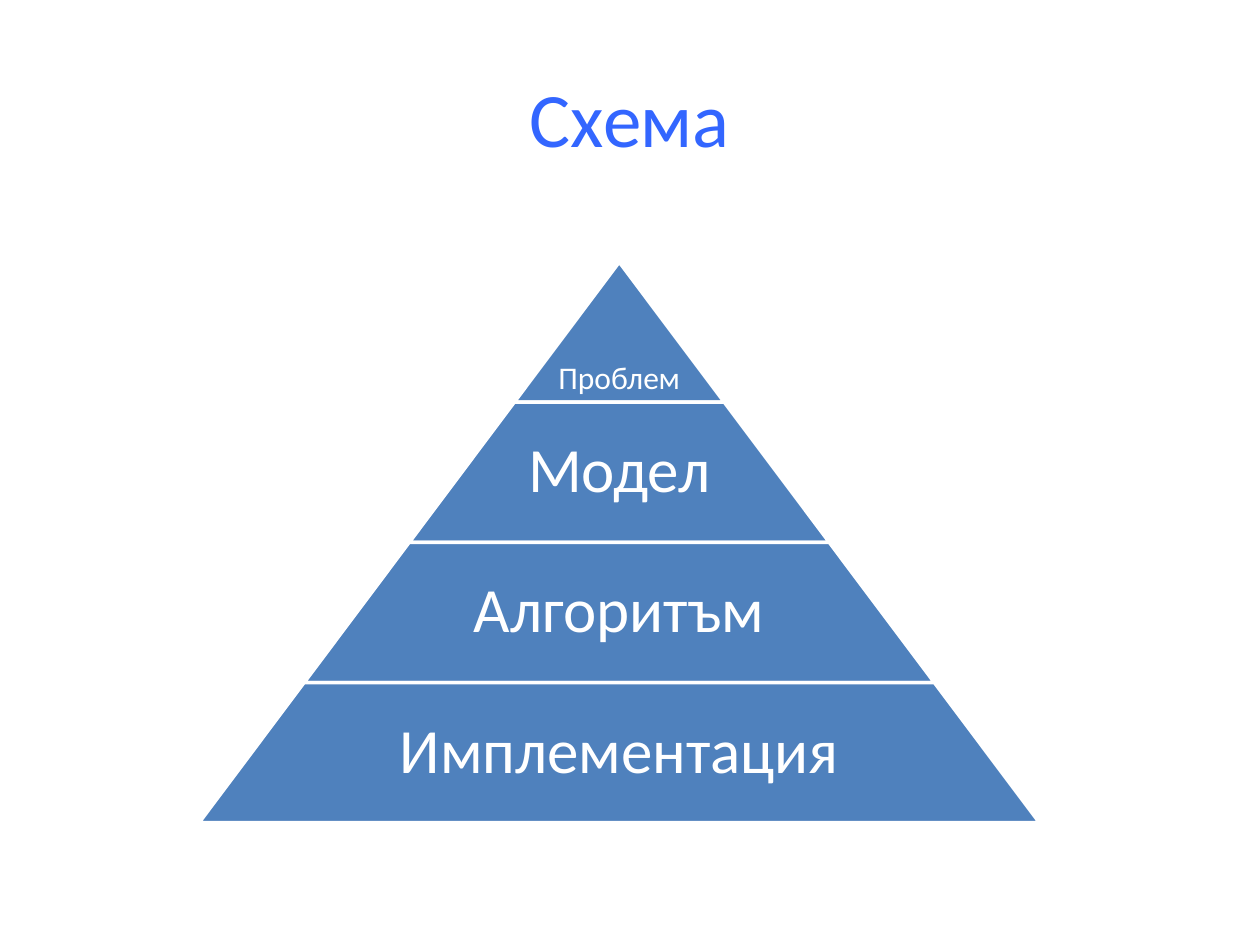
from pptx import Presentation
from pptx.dml.color import RGBColor
from pptx.enum.shapes import MSO_SHAPE
from pptx.enum.text import MSO_ANCHOR, PP_ALIGN
from pptx.util import Inches, Pt

TRAPEZOID = MSO_SHAPE.TRAPEZOID
MIDDLE, BOTTOM = MSO_ANCHOR.MIDDLE, MSO_ANCHOR.BOTTOM
CENTER = PP_ALIGN.CENTER
FONT = "Calibri"
COLORS = {"title": "3366FF", "level": "4F81BD", "white": "FFFFFF"}
LEVELS = ["Проблем", "Модел", "Алгоритъм", "Имплементация"]


def color(name):
    return RGBColor.from_string(COLORS[name])


def add_text(slide, text, box, size=36, ink="white", anchor=MIDDLE,
             inset=0.05, spacing=0.9):
    frame = slide.shapes.add_textbox(*map(Inches, box)).text_frame
    frame.word_wrap = True
    frame.vertical_anchor = anchor
    frame.margin_left = frame.margin_right = Inches(inset)
    frame.margin_top = frame.margin_bottom = Inches(inset)
    para = frame.paragraphs[0]
    para.alignment = CENTER
    para.line_spacing = spacing
    run = para.add_run()
    run.text = text
    run.font.name = FONT
    run.font.size = Pt(size)
    run.font.color.rgb = color(ink)


def add_level(slide, box, slope):
    shape = slide.shapes.add_shape(TRAPEZOID, *map(Inches, box))
    shape.adjustments[0] = slope
    shape.shadow.inherit = False
    shape.fill.solid()
    shape.fill.fore_color.rgb = color("level")
    shape.line.color.rgb = color("white")
    shape.line.width = Pt(2)


def add_pyramid(slide, box, labels):
    """Stack equal-height levels whose widths grow evenly to the base."""
    left, top, width, height = box
    count = len(labels)
    step = height / count
    slope = width / height / 2
    for i, label in enumerate(labels):
        wide = width * (i + 1) / count
        x = left + (width - wide) / 2
        y = top + i * step
        add_level(slide, (x, y, wide, step), slope)
        if i == 0:
            add_text(slide, label, (x, y, wide, step), size=18, anchor=BOTTOM)
        else:
            inner = wide * 0.65
            add_text(slide, label,
                     (left + (width - inner) / 2, y, inner, step))


def main():
    deck = Presentation()
    deck.slide_width, deck.slide_height = Inches(10), Inches(7.5)
    slide = deck.slides.add_slide(deck.slide_layouts[6])
    add_text(slide, "Схема", (0.5, 0.3, 9, 1.25), size=44, ink="title",
             spacing=1.0)
    add_pyramid(slide, (1.58, 2.08, 6.67, 4.45), LEVELS)
    deck.save("out.pptx")


if __name__ == "__main__":
    main()
